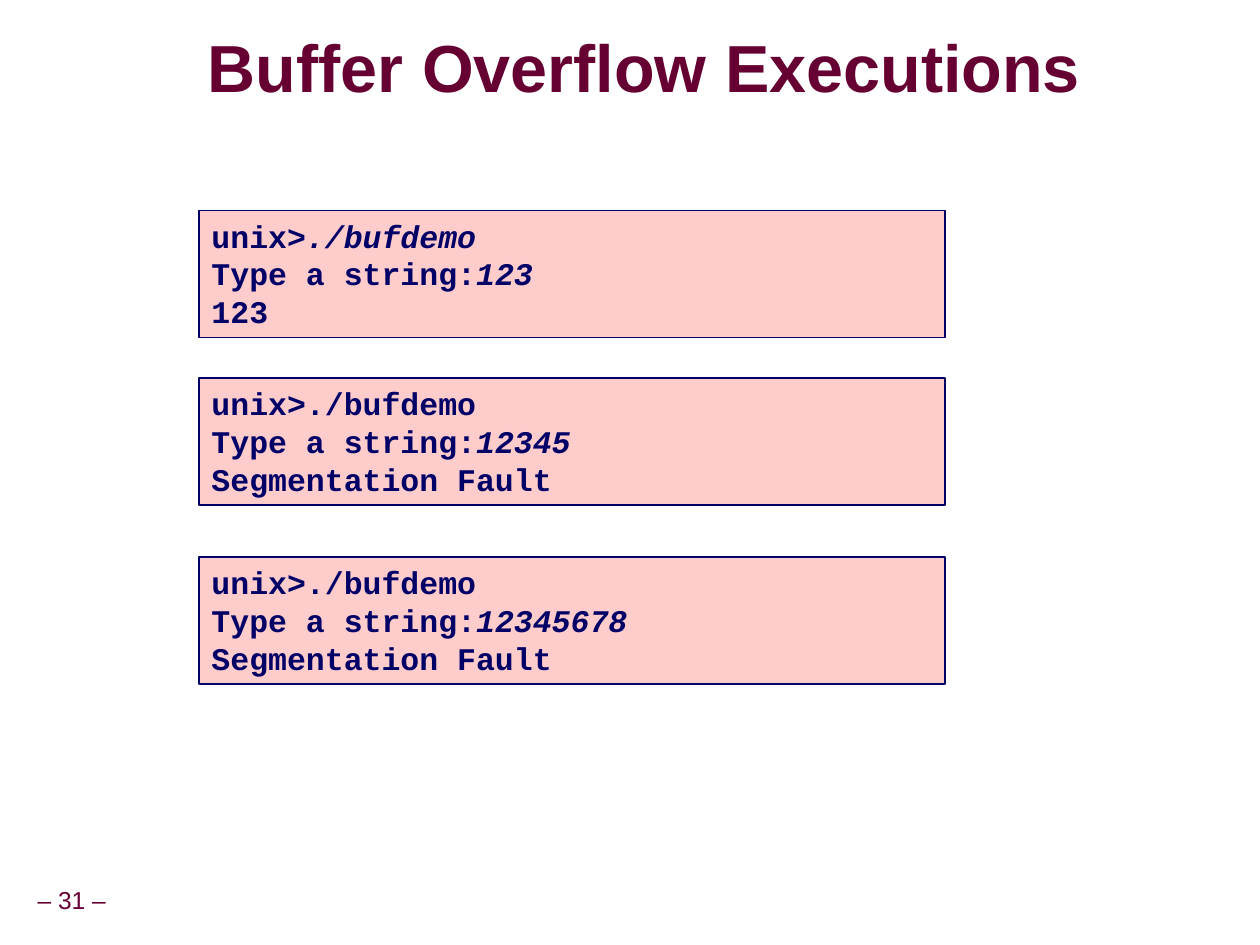
from dataclasses import dataclass

from lxml.etree import SubElement
from pptx import Presentation
from pptx.dml.color import RGBColor
from pptx.enum.shapes import MSO_SHAPE
from pptx.enum.text import MSO_ANCHOR, MSO_AUTO_SIZE, PP_ALIGN
from pptx.oxml import parse_xml
from pptx.oxml.ns import nsdecls, qn
from pptx.slide import Slide
from pptx.text.text import Font, TextFrame
from pptx.util import Inches, Pt

MAROON = RGBColor(0x66, 0x00, 0x33)
NAVY = RGBColor(0x00, 0x00, 0x66)
PINK = RGBColor(0xFF, 0xCC, 0xCC)
WHITE = RGBColor(0xFF, 0xFF, 0xFF)
TITLE_SHADOW = (
    f'<a:effectLst {nsdecls("a")}>'
    '<a:outerShdw blurRad="38100" dist="38100" dir="2700000" algn="tl">'
    '<a:srgbClr val="000000"><a:alpha val="43000"/></a:srgbClr>'
    '</a:outerShdw></a:effectLst>'
)
TAB_STOPS = (0.5, 1.62)


@dataclass(frozen=True)
class Span:
    text: str
    italic: bool = False


@dataclass(frozen=True)
class Execution:
    top: float
    command: Span
    typed: str
    result: str

    def lines(self) -> list[list[Span]]:
        return [
            [Span("unix>"), self.command],
            [Span("Type a string:"), Span(self.typed, italic=True)],
            [Span(self.result)],
        ]


EXECUTIONS = [
    Execution(1.67, Span("./bufdemo", italic=True), "123", "123"),
    Execution(3, Span("./bufdemo"), "12345", "Segmentation Fault"),
    Execution(4.42, Span("./bufdemo"), "12345678", "Segmentation Fault"),
]


def style_font(font: Font, name: str, size: float, color: RGBColor, bold: bool) -> None:
    font.name = name
    font.size = Pt(size)
    font.bold = bold
    font.color.rgb = color


def set_margins(frame: TextFrame, side: float, end: float) -> None:
    frame.margin_left = frame.margin_right = Inches(side)
    frame.margin_top = frame.margin_bottom = Inches(end)


def add_title(slide: Slide, text: str) -> None:
    title = slide.shapes.title
    title.left, title.top = Inches(1.65), Inches(0.25)
    title.width, title.height = Inches(7.01), Inches(0.63)
    frame = title.text_frame
    frame.text = text
    frame.auto_size = MSO_AUTO_SIZE.NONE
    frame.vertical_anchor = MSO_ANCHOR.MIDDLE
    set_margins(frame, 0, 0)
    heading = frame.paragraphs[0]
    heading.alignment = PP_ALIGN.LEFT
    heading.line_spacing = 0.87
    run = heading.runs[0]
    style_font(run.font, "Arial", 38, MAROON, True)
    color_fill = run.font._element.find(qn("a:solidFill"))
    color_fill.addnext(parse_xml(TITLE_SHADOW))


def add_page_number(slide: Slide, text: str) -> None:
    page_number = slide.shapes.add_textbox(
        Inches(0.24), Inches(7), Inches(0.66), Inches(0.31)
    )
    frame = page_number.text_frame
    frame.text = text
    frame.word_wrap = False
    frame.auto_size = MSO_AUTO_SIZE.SHAPE_TO_FIT_TEXT
    frame.vertical_anchor = MSO_ANCHOR.MIDDLE
    set_margins(frame, 0.05, 0.05)
    label = frame.paragraphs[0]
    label.alignment = PP_ALIGN.CENTER
    label.line_spacing = 0.9
    style_font(label.runs[0].font, "Arial", 14, MAROON, False)


def add_execution(slide: Slide, execution: Execution) -> None:
    terminal = slide.shapes.add_shape(
        MSO_SHAPE.RECTANGLE,
        Inches(1.58), Inches(execution.top), Inches(5.92), Inches(1.01),
    )
    terminal.shadow.inherit = False
    terminal.fill.solid()
    terminal.fill.fore_color.rgb = PINK
    terminal.line.color.rgb = NAVY
    terminal.line.width = Pt(1)
    frame = terminal.text_frame
    frame.word_wrap = True
    frame.auto_size = MSO_AUTO_SIZE.SHAPE_TO_FIT_TEXT
    frame.vertical_anchor = MSO_ANCHOR.TOP
    set_margins(frame, 0.1, 0.05)
    lines = execution.lines()
    frame.text = "\n".join("".join(span.text for span in line) for line in lines)
    for paragraph, line in zip(frame.paragraphs, lines):
        paragraph.alignment = PP_ALIGN.LEFT
        tab_list = SubElement(paragraph._p.get_or_add_pPr(), qn("a:tabLst"))
        for stop in TAB_STOPS:
            SubElement(tab_list, qn("a:tab"), pos=str(Inches(stop)), algn="l")
        paragraph.runs[0].text = line[0].text
        for _ in line[1:]:
            paragraph.add_run()
        for run, span in zip(paragraph.runs, line):
            run.text = span.text
            style_font(run.font, "Courier New", 18, NAVY, True)
            run.font.italic = span.italic


def main() -> None:
    presentation = Presentation()
    presentation.slide_width = Inches(10)
    presentation.slide_height = Inches(7.5)
    slide = presentation.slides.add_slide(presentation.slide_layouts[5])
    slide.background.fill.solid()
    slide.background.fill.fore_color.rgb = WHITE
    add_page_number(slide, "– 31 –")
    add_title(slide, "Buffer Overflow Executions")
    for execution in EXECUTIONS:
        add_execution(slide, execution)
    presentation.save("out.pptx")


if __name__ == "__main__":
    main()
